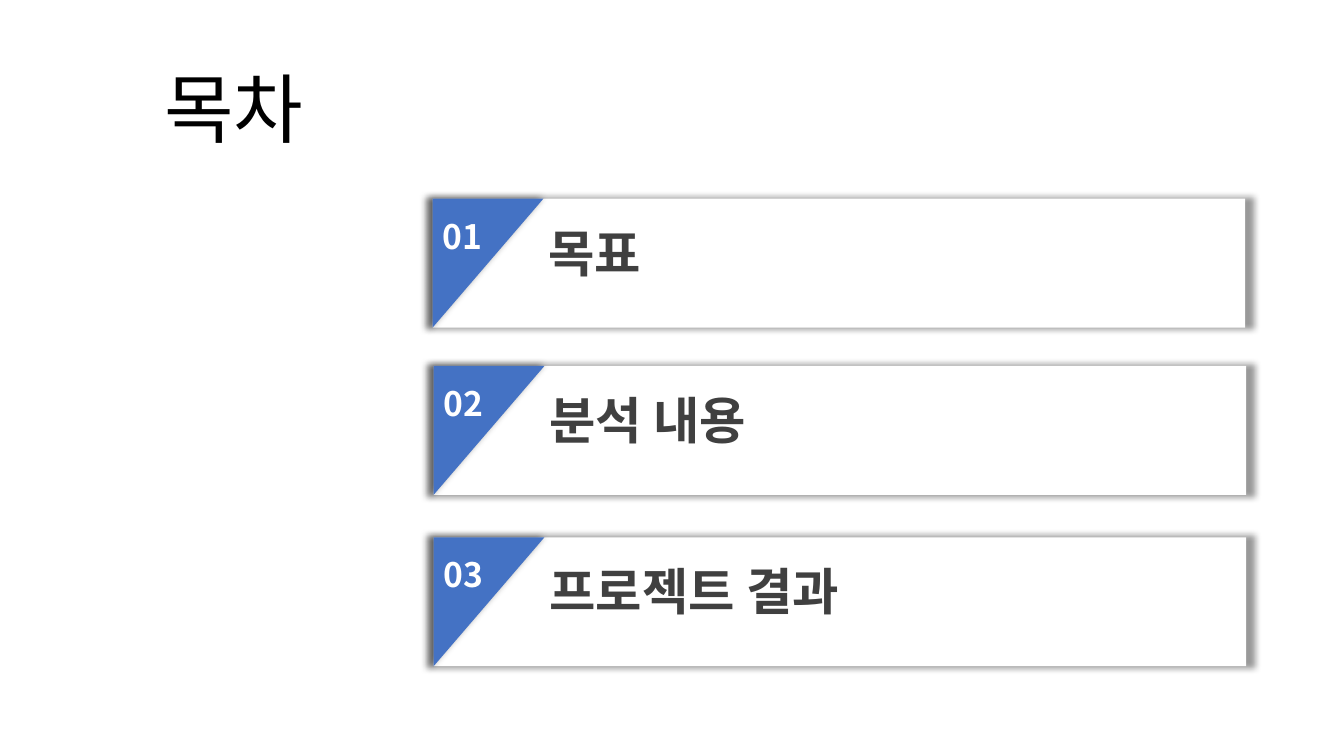
from dataclasses import dataclass

from lxml import etree
from pptx import Presentation
from pptx.dml.color import RGBColor
from pptx.enum.shapes import MSO_SHAPE
from pptx.enum.text import MSO_ANCHOR, MSO_AUTO_SIZE
from pptx.oxml.ns import qn
from pptx.util import Inches, Pt

RECTANGLE = MSO_SHAPE.RECTANGLE
RIGHT_TRIANGLE = MSO_SHAPE.RIGHT_TRIANGLE
TOP, MIDDLE = MSO_ANCHOR.TOP, MSO_ANCHOR.MIDDLE
GROW, FIXED = MSO_AUTO_SIZE.SHAPE_TO_FIT_TEXT, MSO_AUTO_SIZE.NONE


@dataclass(frozen=True)
class Theme:
    font: str = "Noto Sans CJK KR"
    black: str = "000000"
    white: str = "FFFFFF"
    accent: str = "4472C4"
    heading: str = "404040"
    title_size: int = 54
    heading_size: int = 36
    number_size: int = 24


@dataclass(frozen=True)
class Entry:
    heading: str
    left: float
    top: float


THEME = Theme()
ENTRIES = [
    Entry("목표", 4.29, 1.97),
    Entry("분석 내용", 4.3, 3.63),
    Entry("프로젝트 결과", 4.3, 5.33),
]
CARD_WIDTH, CARD_HEIGHT = 8.06, 1.28
CORNER_WIDTH = 1.1


def add_glow_shadow(shape) -> None:
    """Give the shape a soft, centred shadow slightly larger than itself."""
    effects = etree.SubElement(shape._element.spPr, qn("a:effectLst"))
    shadow = etree.SubElement(
        effects, qn("a:outerShdw"), blurRad=str(Pt(5)), sx="102000", sy="102000",
        algn="ctr", rotWithShape="0")
    color = etree.SubElement(shadow, qn("a:srgbClr"), val=THEME.black)
    etree.SubElement(color, qn("a:alpha"), val="40000")


def add_panel(group, kind, left: float, top: float, width: float, height: float,
              *, fill: str, rotation: float = 0) -> None:
    panel = group.shapes.add_shape(
        kind, Inches(left), Inches(top), Inches(width), Inches(height))
    panel.rotation = rotation
    panel.fill.solid()
    panel.fill.fore_color.rgb = RGBColor.from_string(fill)
    panel.line.fill.background()
    add_glow_shadow(panel)


def add_text(page, text: str, left: float, top: float, width: float, height: float,
             *, size: int, color: str, bold: bool = True, anchor=TOP, fit=GROW,
             inset: float = 0.1, line_spacing: float = 1.0) -> None:
    box = page.shapes.add_textbox(
        Inches(left), Inches(top), Inches(width), Inches(height))
    frame = box.text_frame
    frame.word_wrap = True
    frame.auto_size = fit
    frame.vertical_anchor = anchor
    frame.margin_left = Inches(inset)
    para = frame.paragraphs[0]
    para.line_spacing = line_spacing
    span = para.add_run()
    span.text = text
    span.font.name = THEME.font
    span.font.size = Pt(size)
    span.font.bold = bold
    span.font.color.rgb = RGBColor.from_string(color)
    etree.SubElement(span.font._element, qn("a:ea"), typeface=THEME.font)


def add_entry(page, number: int, entry: Entry) -> None:
    left, top = entry.left, entry.top
    card = page.shapes.add_group_shape()
    add_panel(card, RECTANGLE, left, top, CARD_WIDTH, CARD_HEIGHT, fill=THEME.white)
    # The quarter turn swaps width and height around the triangle's centre.
    shift = (CARD_HEIGHT - CORNER_WIDTH) / 2
    add_panel(card, RIGHT_TRIANGLE, left - shift, top + shift, CARD_HEIGHT,
              CORNER_WIDTH, fill=THEME.accent, rotation=90)
    add_text(page, f"{number:02}", left, top + 0.12, 0.82, 0.5,
             size=THEME.number_size, color=THEME.white)
    add_text(page, entry.heading, left + 1.05, top + 0.18, 6.73, 0.71,
             size=THEME.heading_size, color=THEME.heading)


def main() -> None:
    deck = Presentation()
    deck.slide_width, deck.slide_height = Inches(13.33), Inches(7.5)
    page = deck.slides.add_slide(deck.slide_layouts[6])
    add_text(page, "목차", 0.92, 0.4, 11.5, 1.45, size=THEME.title_size,
             color=THEME.black, bold=False, anchor=MIDDLE, fit=FIXED,
             inset=0.71, line_spacing=0.9)
    for number, entry in enumerate(ENTRIES, start=1):
        add_entry(page, number, entry)
    deck.save("out.pptx")


if __name__ == "__main__":
    main()
